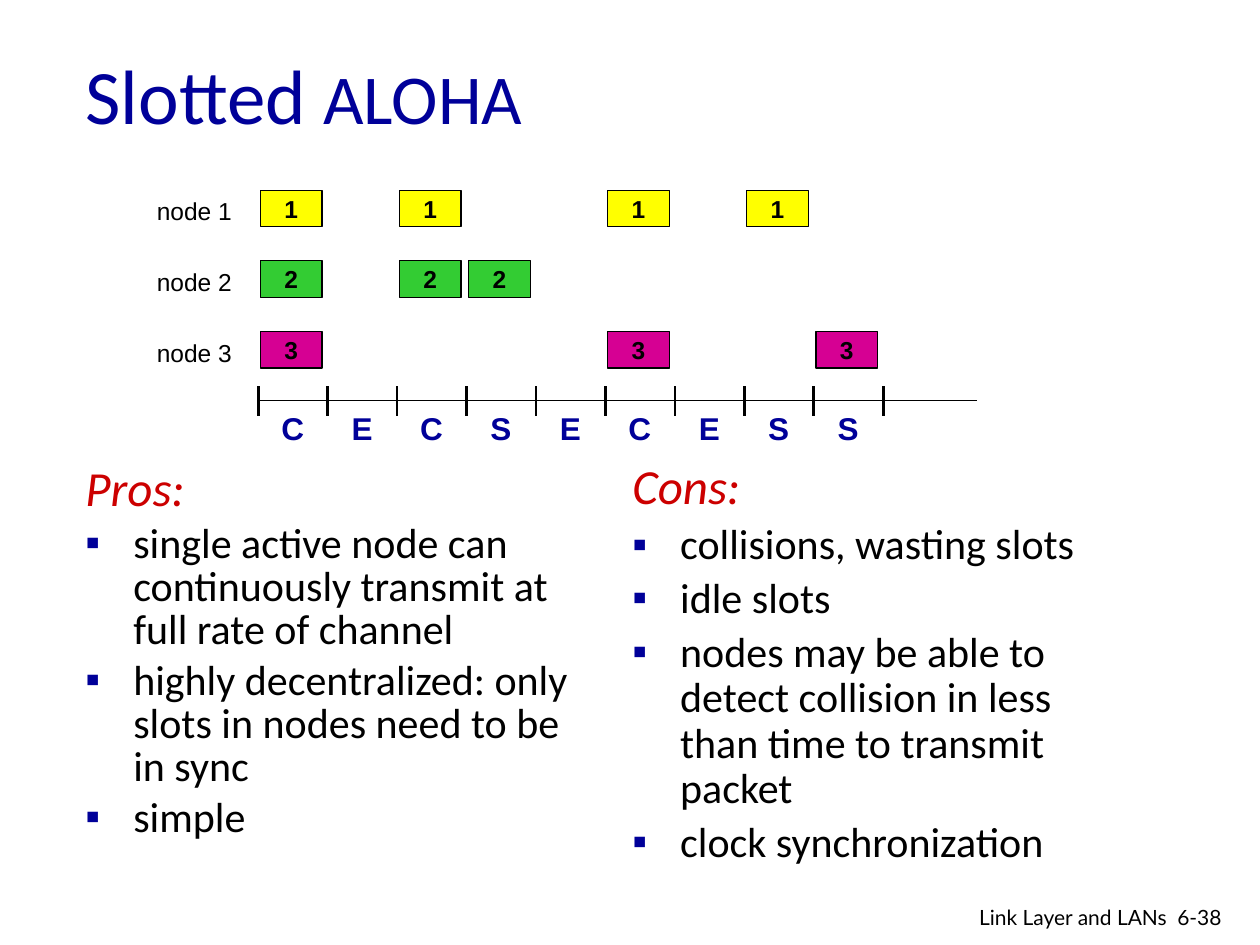
from dataclasses import dataclass

from lxml.etree import SubElement
from pptx import Presentation
from pptx.dml.color import RGBColor as Rgb
from pptx.enum.shapes import MSO_CONNECTOR as Connector, MSO_SHAPE as Shape
from pptx.enum.text import MSO_ANCHOR as Anchor, PP_ALIGN as Align
from pptx.oxml.ns import qn
from pptx.util import Inches, Pt


@dataclass(frozen=True)
class Theme:
    """Colours, fonts and type sizes of the slide."""
    navy: str = "000099"
    red: str = "CC0000"
    black: str = "000000"
    nodes: tuple = ("FFFF00", "33CC33", "D60093")
    text_font: str = "Calibri"
    diagram_font: str = "Arial"
    footer_font: str = "Lato"
    title: int = 44
    title_caps: int = 40
    heading: int = 28
    body: int = 24
    outcome: int = 18
    frame: int = 14
    footer: int = 12


@dataclass(frozen=True)
class Box:
    """A rectangle in inches that can be divided into a grid."""
    left: float
    top: float
    width: float
    height: float

    def share(self, left, top, width, height, cols=1, rows=1):
        """Return the part at a grid position, in columns and rows."""
        col, row = self.width / cols, self.height / rows
        return Box(self.left + left * col, self.top + top * row, width * col, height * row)

    def place(self):
        """Return left, top, width and height as slide lengths."""
        return [Inches(v) for v in (self.left, self.top, self.width, self.height)]


THEME = Theme()
PAGE = Box(0, 0, 10, 7.5)
SLOT_OUTCOMES = "CECSECESS"
NODE_SLOTS = ((0, 2, 5, 7), (0, 2, 3), (0, 5, 8))
PROS = (
    "single active node can continuously transmit at full rate of channel",
    "highly decentralized: only slots in nodes need to be in sync",
    "simple",
)
CONS = (
    "collisions, wasting slots",
    "idle slots",
    "nodes may be able to detect collision in less than time to transmit packet",
    "clock synchronization",
)


def style(paragraph, face, size, color, bold=False, italic=False):
    """Set the font of a whole paragraph."""
    font = paragraph.font
    font.name, font.size, font.bold, font.italic = face, Pt(size), bold, italic
    font.color.rgb = Rgb.from_string(color)


def add_text(slide, box, text, face, size, color, bold=False, align=Align.LEFT, wrap=True):
    """Add a one-paragraph text box and return its frame."""
    frame = slide.shapes.add_textbox(*box.place()).text_frame
    frame.word_wrap = wrap
    paragraph = frame.paragraphs[0]
    paragraph.text, paragraph.alignment = text, align
    style(paragraph, face, size, color, bold)
    return frame


def add_line(slide, box, weight):
    """Draw a straight line from the box's first corner to its last."""
    left, top, width, height = box.place()
    line = slide.shapes.add_connector(Connector.STRAIGHT, left, top, left + width, top + height)
    line.line.color.rgb = Rgb.from_string(THEME.black)
    line.line.width = Pt(weight)
    SubElement(line._element.spPr, qn("a:effectLst"))


def add_title(slide, box):
    """Write the title, with the acronym a little smaller."""
    frame = add_text(slide, box, "Slotted ", THEME.text_font, THEME.title, THEME.navy)
    frame.vertical_anchor = Anchor.MIDDLE
    acronym = frame.paragraphs[0].add_run()
    acronym.text = "ALOHA"
    acronym.font.size = Pt(THEME.title_caps)


def add_packet(slide, box, number, color):
    """Draw one transmitted packet."""
    packet = slide.shapes.add_shape(Shape.RECTANGLE, *box.place())
    packet.shadow.inherit = False
    packet.fill.solid()
    packet.fill.fore_color.rgb = Rgb.from_string(color)
    packet.line.color.rgb = Rgb.from_string(THEME.black)
    packet.line.width = Pt(0.75)
    frame = packet.text_frame
    frame.margin_top = frame.margin_bottom = 0
    frame.vertical_anchor = Anchor.MIDDLE
    paragraph = frame.paragraphs[0]
    paragraph.text, paragraph.alignment = str(number), Align.CENTER
    style(paragraph, THEME.diagram_font, THEME.frame, THEME.black, bold=True)


def add_timeline(slide, box):
    """Draw the packets of each node over a slotted time axis."""
    grid = {"cols": len(SLOT_OUTCOMES), "rows": len(NODE_SLOTS) + 1}
    for row, (slots, color) in enumerate(zip(NODE_SLOTS, THEME.nodes)):
        add_text(slide, box.share(-1.64, row, 1.44, 0.59, **grid), f"node {row + 1}",
                 THEME.diagram_font, THEME.frame, THEME.black, wrap=False)
        for slot in slots:
            add_packet(slide, box.share(slot + 0.03, row, 0.89, 0.52, **grid), row + 1, color)
    add_line(slide, box.share(0, 2.98, 10.35, 0, **grid), 0.75)
    for tick in range(len(SLOT_OUTCOMES) + 1):
        add_line(slide, box.share(tick, 2.78, 0, 0.42, **grid), 1.5)
    for slot, outcome in enumerate(SLOT_OUTCOMES):
        add_text(slide, box.share(slot + 0.15, 3.01, 0.69, 0.71, **grid), outcome,
                 THEME.diagram_font, THEME.outcome, THEME.navy, True, Align.CENTER, False)


def add_bullet(paragraph):
    """Give a paragraph a hanging square bullet."""
    props = paragraph._p.get_or_add_pPr()
    props.set("marL", str(Inches(0.38)))
    props.set("indent", str(-Inches(0.38)))
    SubElement(SubElement(props, qn("a:buClr")), qn("a:srgbClr"), val=THEME.navy)
    SubElement(props, qn("a:buFont"), typeface=THEME.diagram_font)
    SubElement(props, qn("a:buChar"), char="▪")


def add_points(slide, box, heading, points, spacing):
    """Write a red heading above a bulleted list."""
    frame = add_text(slide, box, heading, THEME.text_font, THEME.heading, THEME.red)
    first = frame.paragraphs[0]
    first.font.italic = True
    first.line_spacing = spacing
    for point in points:
        paragraph = frame.add_paragraph()
        paragraph.text = point
        add_bullet(paragraph)
        paragraph.line_spacing = spacing
        paragraph.space_before = Pt(THEME.body * 0.2)
        style(paragraph, THEME.text_font, THEME.body, THEME.black)


def add_footer(slide, box):
    """Write the chapter name and the page number."""
    font = (THEME.footer_font, THEME.footer, THEME.black)
    add_text(slide, box.share(0, 0, 0.83, 1), "Link Layer and LANs", *font, align=Align.RIGHT)
    add_text(slide, box.share(0.79, 0, 0.21, 1), "6-38", *font)


def main():
    """Build the slide and save it."""
    deck = Presentation()
    deck.slide_width, deck.slide_height = Inches(PAGE.width), Inches(PAGE.height)
    slide = deck.slides.add_slide(deck.slide_layouts[6])
    grid = {"cols": 100, "rows": 75}
    add_points(slide, PAGE.share(5.8, 36.5, 41.7, 35, **grid), "Pros:", PROS, 0.85)
    add_points(slide, PAGE.share(49.2, 36.2, 41.7, 35, **grid), "Cons:", CONS, 0.9)
    add_title(slide, PAGE.share(5.8, 1.2, 54.2, 12.5, **grid))
    add_timeline(slide, PAGE.share(20.5, 15.1, 49.6, 22.4, **grid))
    add_footer(slide, PAGE.share(69.7, 71.3, 28.8, 2.8, **grid))
    deck.save("out.pptx")


if __name__ == "__main__":
    main()
